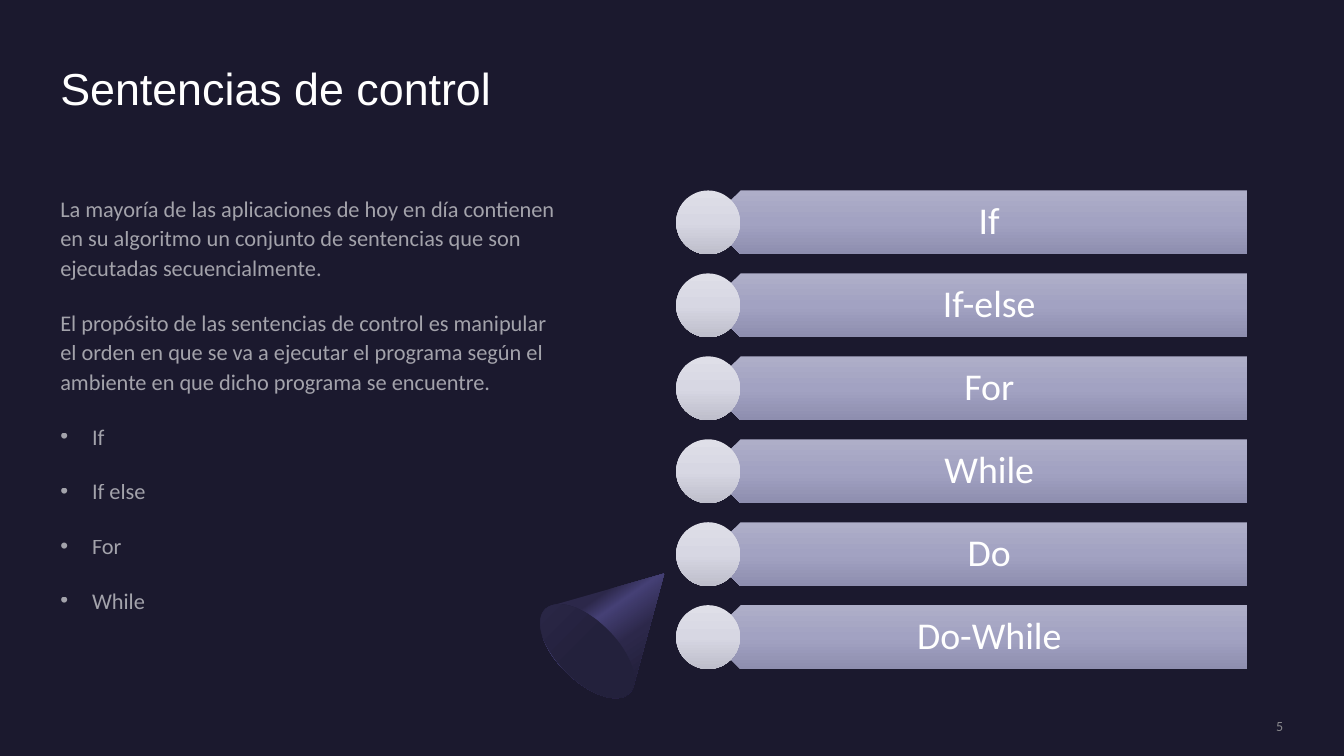
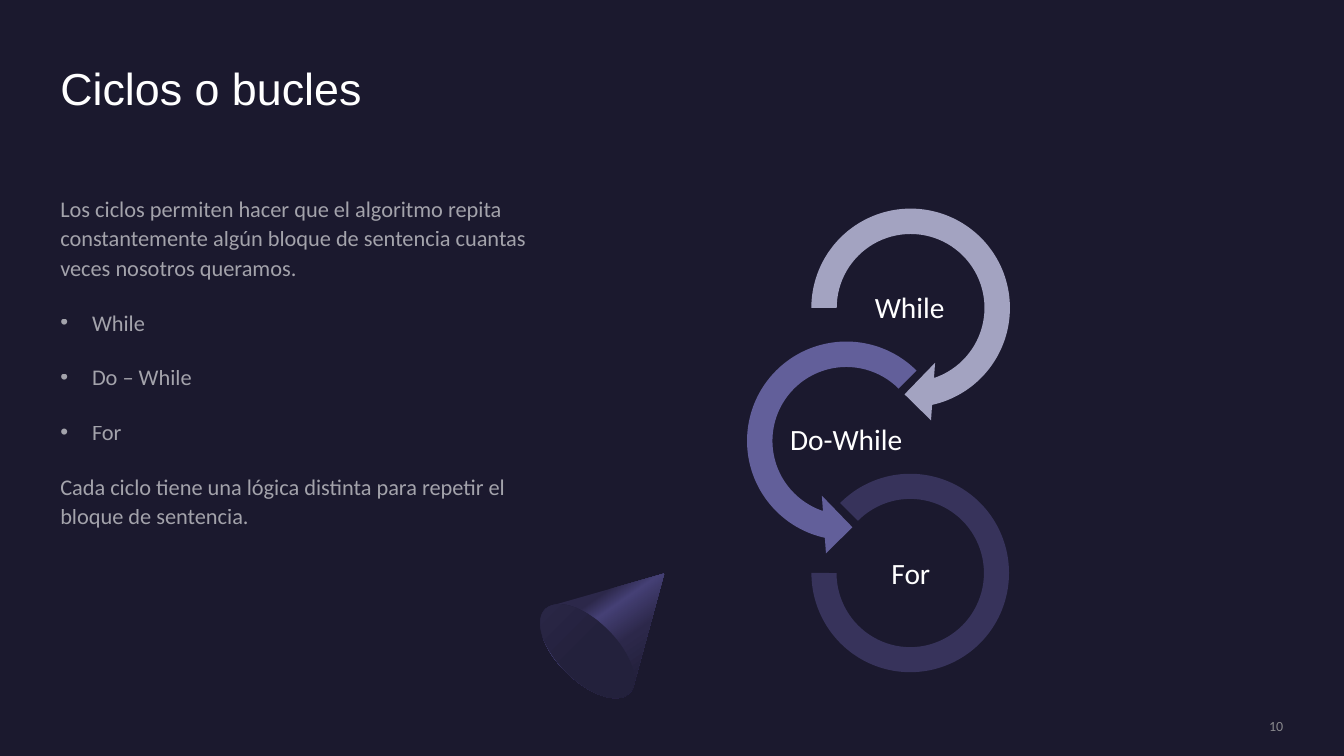
from pptx import Presentation
from pptx.dml.color import RGBColor
from pptx.enum.shapes import MSO_SHAPE
from pptx.enum.text import MSO_ANCHOR, PP_ALIGN
from pptx.oxml import parse_xml
from pptx.oxml.ns import nsdecls, qn
from pptx.util import Cm, Pt
from lxml.etree import SubElement

NIGHT = RGBColor(0x1B, 0x19, 0x2E)
WHITE = RGBColor(0xFF, 0xFF, 0xFF)
GREY = RGBColor(0xA6, 0xA6, 0xA6)
LAVENDER = RGBColor(0xA3, 0xA3, 0xC1)
VIOLET = RGBColor(0x62, 0x5F, 0x9A)
INDIGO = RGBColor(0x37, 0x33, 0x5B)
SHADE = RGBColor(0x2C, 0x28, 0x4A)
GLOW = RGBColor(0x45, 0x40, 0x75)
BASE = RGBColor(0x23, 0x21, 0x3C)

CONE_STOPS = [(30, SHADE), (40, GLOW), (60, SHADE), (100, NIGHT)]
BASE_STOPS = [(50, BASE), (100, SHADE)]
BAR_STOPS = [(0, RGBColor(0xAE, 0xAE, 0xC8)), (50, RGBColor(0xA2, 0xA2, 0xC2)),
             (100, RGBColor(0x8E, 0x8E, 0xAF))]
DOT_STOPS = [(0, RGBColor(0xDF, 0xDF, 0xE8)), (50, RGBColor(0xD7, 0xD7, 0xE3)),
             (100, RGBColor(0xBE, 0xBE, 0xCB))]

CONE_TIP = (16.74, 14.45)
CONE_CURVES = [
    [(15.95, 17.35), (15.93, 17.4), (15.9, 17.42), (15.85, 17.48)],
    [(15.85, 17.48), (15.57, 17.75), (14.86, 17.53), (14.27, 16.94)],
    [(14.27, 16.94), (13.67, 16.36), (13.44, 15.65), (13.74, 15.34)],
    [(13.74, 15.34), (13.77, 15.32), (13.82, 15.29), (13.87, 15.27)],
]


def finish(shape, color=None):
    shape.shadow.inherit = False
    shape.line.fill.background()
    if color is not None:
        shape.fill.solid()
        shape.fill.fore_color.rgb = color


def fill_gradient(shape, stops, angle, turns=1):
    shape.fill.gradient()
    old = shape.element.spPr.find(qn("a:gradFill"))
    marks = "".join(f'<a:gs pos="{pos * 1000}"><a:srgbClr val="{color}"/></a:gs>'
                    for pos, color in stops)
    new = parse_xml(f'<a:gradFill {nsdecls("a")} rotWithShape="{turns}">'
                    f'<a:gsLst>{marks}</a:gsLst>'
                    f'<a:lin ang="{angle * 60000}" scaled="0"/></a:gradFill>')
    old.getparent().replace(old, new)


def add_preset(s, kind, x, y, w, h, color=None, rotation=0, adjustments=()):
    shape = s.shapes.add_shape(kind, Cm(x), Cm(y), Cm(w), Cm(h))
    shape.rotation = rotation
    for i, value in enumerate(adjustments):
        shape.adjustments[i] = value
    finish(shape, color)
    return shape


def style(p, size, font="Calibri", color=WHITE, opacity=100):
    for r in p.runs:
        r.font.size = Pt(size)
        r.font.name = font
        r.font.color.rgb = color
        if opacity < 100:
            clr = r.font.element.find(".//" + qn("a:srgbClr")) if hasattr(
                r.font, "element") else r._r.find(".//" + qn("a:srgbClr"))
            SubElement(clr, qn("a:alpha")).set("val", str(opacity * 1000))


def add_frame(s, x, y, w, h, anchor=MSO_ANCHOR.TOP, insets=(0, 0, 0, 0)):
    tf = s.shapes.add_textbox(Cm(x), Cm(y), Cm(w), Cm(h)).text_frame
    tf.word_wrap = True
    tf.vertical_anchor = anchor
    tf.margin_left, tf.margin_top, tf.margin_right, tf.margin_bottom = map(Cm, insets)
    return tf


def add_label(s, text, x, y, w, h, size, insets):
    tf = add_frame(s, x, y, w, h, MSO_ANCHOR.MIDDLE, insets)
    tf.text = text
    p = tf.paragraphs[0]
    p.alignment = PP_ALIGN.CENTER
    p.line_spacing = 0.9
    style(p, size)


def add_bullet(p):
    pPr = p._p.get_or_add_pPr()
    pPr.set("marL", str(Cm(0.8)))
    pPr.set("indent", str(-Cm(0.8)))
    SubElement(pPr, qn("a:buFont")).set("typeface", "Arial")
    SubElement(pPr, qn("a:buChar")).set("char", "•")


def add_body(s, items):
    tf = add_frame(s, 1.52, 4.85, 12.5, 12.07)
    for i, (text, bulleted) in enumerate(items):
        p = tf.add_paragraph() if i else tf.paragraphs[0]
        p.text = text
        p.line_spacing = 1.1
        p.space_before = Pt(10)
        p.space_after = Pt(8)
        if bulleted:
            add_bullet(p)
        style(p, 16, opacity=60)


def bezier(a, b, c, d, steps=16):
    for i in range(steps + 1):
        t = i / steps
        u = 1 - t
        yield tuple(Cm(u**3 * m + 3 * u * u * t * n + 3 * u * t * t * o + t**3 * q)
                    for m, n, o, q in zip(a, b, c, d))


def add_cone(s):
    builder = s.shapes.build_freeform(Cm(CONE_TIP[0]), Cm(CONE_TIP[1]))
    points = [point for curve in CONE_CURVES for point in bezier(*curve)]
    builder.add_line_segments(points, close=True)
    side = builder.convert_to_shape()
    finish(side)
    fill_gradient(side, CONE_STOPS, 55)
    base = add_preset(s, MSO_SHAPE.OVAL, 14.05, 14.91, 1.5, 3, rotation=135)
    fill_gradient(base, BASE_STOPS, 90)


def add_page(prs, title, number):
    s = prs.slides.add_slide(prs.slide_layouts[6])
    s.background.fill.solid()
    s.background.fill.fore_color.rgb = NIGHT
    add_cone(s)
    tf = add_frame(s, 1.52, 1.52, 30.81, 2.74)
    tf.text = title
    style(tf.paragraphs[0], 32, "Arial")
    tf = add_frame(s, 27.64, 18.08, 4.7, 0.43, MSO_ANCHOR.MIDDLE)
    tf.text = str(number)
    tf.paragraphs[0].alignment = PP_ALIGN.RIGHT
    style(tf.paragraphs[0], 10, color=GREY, opacity=80)
    return s


def add_bars(s, names):
    size, pitch = 1.61, 2.09
    for i, name in enumerate(names):
        y = 4.8 + i * pitch
        bar = add_preset(s, MSO_SHAPE.PENTAGON, 17.86, y, 13.56, size, rotation=180)
        fill_gradient(bar, BAR_STOPS, 90, turns=0)
        add_label(s, name, 18.26, y, 13.16, size, 27, (0.71, 0.28, 0.53, 0.28))
        dot = add_preset(s, MSO_SHAPE.OVAL, 17.04, y, size, size)
        fill_gradient(dot, DOT_STOPS, 90)


def add_loops(s):
    loops = [
        ("While", MSO_SHAPE.CIRCULAR_ARROW, (20.04, 4.85, 5.82, 5.82), LAVENDER,
         (0.11, 11.42, 45, 108, 0.125), (21.31, 6.96)),
        ("Do-While", MSO_SHAPE.LEFT_CIRCULAR_ARROW, (18.42, 8.2, 5.82, 5.82), VIOLET,
         (0.11, 11.42, 63, 189, 0.125), (19.71, 10.31)),
        ("For", MSO_SHAPE.BLOCK_ARC, (20.45, 11.94, 4.98, 5), INDIGO,
         (135, 108, 0.127), (21.34, 13.67)),
    ]
    for name, kind, box, color, adjustments, corner in loops:
        add_preset(s, kind, *box, color=color, adjustments=adjustments)
        add_label(s, name, *corner, 3.23, 1.63, 21, (0.03, 0.03, 0.03, 0.03))


def main():
    prs = Presentation()
    prs.slide_width, prs.slide_height = Cm(33.87), Cm(19.05)

    s = add_page(prs, "Sentencias de control", 5)
    add_bars(s, ["If", "If-else", "For", "While", "Do", "Do-While"])
    add_body(s, [
        ("La mayoría de las aplicaciones de hoy en día contienen en su algoritmo un "
         "conjunto de sentencias que son ejecutadas secuencialmente.", False),
        ("El propósito de las sentencias de control es manipular el orden en que se va a "
         "ejecutar el programa según el ambiente en que dicho programa se encuentre.", False),
        ("If", True), ("If else", True), ("For", True), ("While", True),
    ])

    s = add_page(prs, "Ciclos o bucles", 10)
    add_body(s, [
        ("Los ciclos permiten hacer que el algoritmo repita constantemente algún bloque "
         "de sentencia cuantas veces nosotros queramos.", False),
        ("While", True), ("Do – While", True), ("For", True),
        ("Cada ciclo tiene una lógica distinta para repetir el bloque de sentencia.", False),
    ])
    add_loops(s)

    prs.save("out.pptx")


main()
